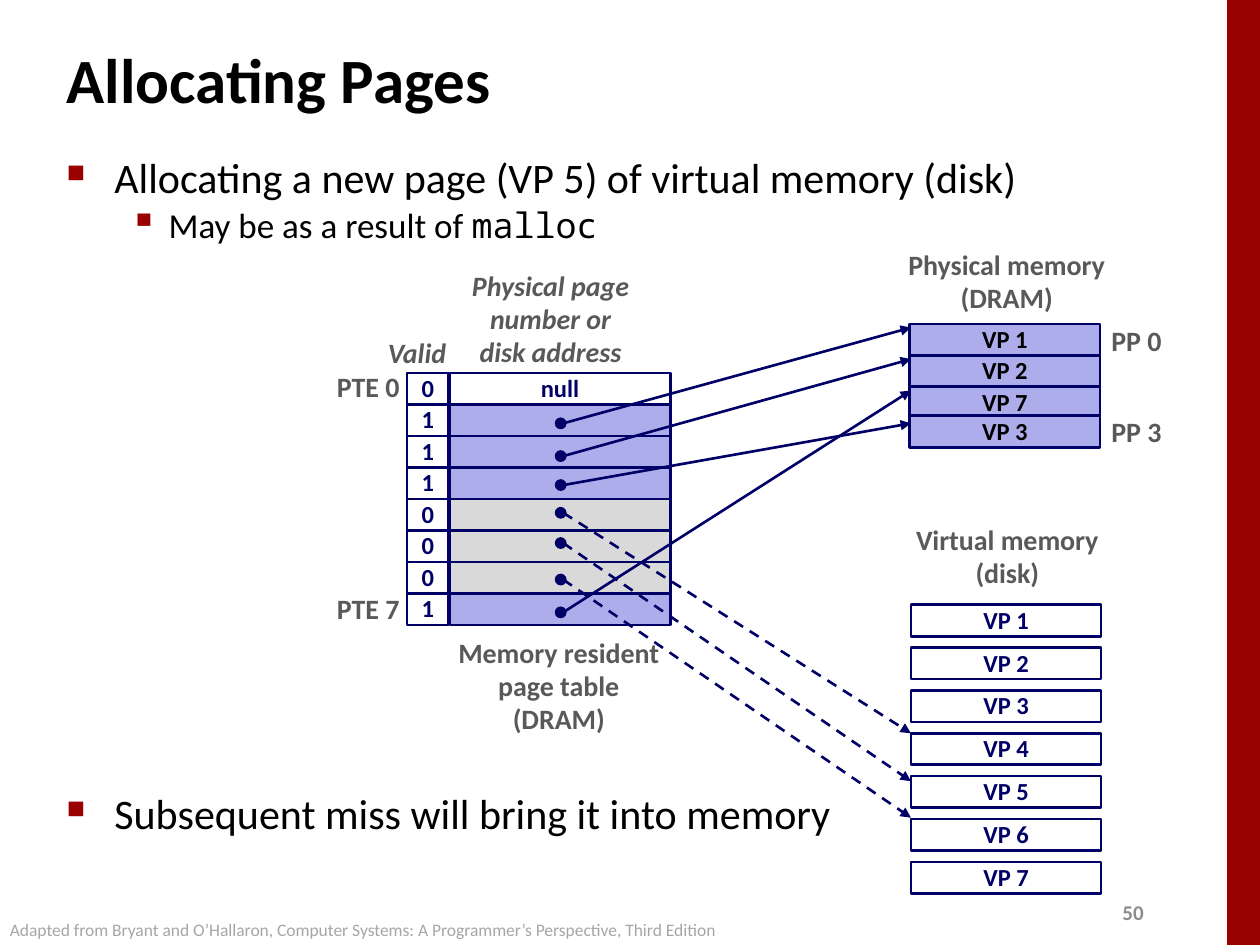
from lxml import etree
from pptx import Presentation
from pptx.dml.color import RGBColor
from pptx.enum.dml import MSO_LINE
from pptx.enum.shapes import MSO_CONNECTOR, MSO_SHAPE
from pptx.enum.text import MSO_ANCHOR, PP_ALIGN
from pptx.oxml.ns import qn
from pptx.util import Inches, Pt

LEFT, MID, RIGHT = PP_ALIGN.LEFT, PP_ALIGN.CENTER, PP_ALIGN.RIGHT
TOP, CENTER = MSO_ANCHOR.TOP, MSO_ANCHOR.MIDDLE
RECT, DOT = MSO_SHAPE.RECTANGLE, MSO_SHAPE.OVAL
STRAIGHT, DASH = MSO_CONNECTOR.STRAIGHT, MSO_LINE.DASH
FONT, MONO = "Calibri", "Noto Sans Mono"
COLORS = {
    "black": "000000", "white": "FFFFFF", "red": "990000", "navy": "000066",
    "blue": "ADADEB", "gray": "D9D9D9", "label": "595959", "number": "8C8C8C",
    "credit": "A6A6A6",
}


def color(name):
    return RGBColor.from_string(COLORS[name])


def add_run(para, text, size, tint, bold=False, italic=False, face=FONT):
    run = para.add_run()
    run.text = text
    font = run.font
    font.name, font.size, font.bold, font.italic = face, Pt(size), bold, italic
    font.color.rgb = color(tint)


def add_label(slide, box, lines, size=16, tint="label", align=MID,
              anchor=TOP, bold=True, italic=False):
    frame = slide.shapes.add_textbox(*map(Inches, box)).text_frame
    frame.word_wrap = align == LEFT
    frame.vertical_anchor = anchor
    for num, line in enumerate(lines):
        para = frame.add_paragraph() if num else frame.paragraphs[0]
        para.alignment, para.line_spacing = align, 0.98
        add_run(para, line, size, tint, bold, italic)


def add_cell(slide, box, fill, text="", tint="navy", kind=RECT, edge=1.5):
    cell = slide.shapes.add_shape(kind, *map(Inches, box))
    cell.shadow.inherit = False
    cell.fill.solid()
    cell.fill.fore_color.rgb = color(fill)
    cell.line.color.rgb = color("navy")
    cell.line.width = Pt(edge)
    if text:
        frame = cell.text_frame
        frame.word_wrap, frame.vertical_anchor = False, CENTER
        para = frame.paragraphs[0]
        para.alignment, para.line_spacing = MID, 0.98
        add_run(para, text, 14, tint, bold=True)


def add_arrow(slide, start, end, dashed):
    arrow = slide.shapes.add_connector(STRAIGHT, *map(Inches, start + end))
    arrow.line.color.rgb = color("navy")
    arrow.line.width = Pt(1.5)
    if dashed:
        arrow.line.dash_style = DASH
    tail = etree.SubElement(arrow.line._get_or_add_ln(), qn("a:tailEnd"))
    tail.set("type", "triangle")
    etree.SubElement(arrow._element.spPr, qn("a:effectLst"))


def set_bullet(para, mark, size, margin, hang):
    props = para._p.get_or_add_pPr()
    props.set("marL", str(Inches(margin)))
    props.set("indent", str(Inches(-hang)))
    tint = etree.SubElement(props, qn("a:buClr"))
    etree.SubElement(tint, qn("a:srgbClr")).set("val", COLORS["red"])
    etree.SubElement(props, qn("a:buSzPct")).set("val", str(size * 1000))
    etree.SubElement(props, qn("a:buChar")).set("char", mark)


def add_points(slide, box, text, detail=None):
    """A main bullet, with an optional sub-bullet that ends in code."""
    frame = slide.shapes.add_textbox(*map(Inches, box)).text_frame
    frame.word_wrap = True
    para = frame.paragraphs[0]
    set_bullet(para, "■", 60, 0.38, 0.38)
    add_run(para, text, 24, "black")
    if detail:
        words, code = detail
        para = frame.add_paragraph()
        para.level, para.space_before = 1, Pt(1)
        set_bullet(para, "▪", 110, 0.81, 0.31)
        add_run(para, words, 20, "black")
        add_run(para, code, 20, "black", face=MONO)


def add_frame(slide, title):
    """Title, side band, page number and credit."""
    head = slide.shapes.title
    head.left, head.top, head.width, head.height = map(
        Inches, (0.43, 0.21, 8.3, 0.83))
    head.text_frame.vertical_anchor = CENTER
    para = head.text_frame.paragraphs[0]
    para.alignment = LEFT
    add_run(para, title, 36, "black", bold=True)

    band = slide.shapes.add_shape(
        RECT, *map(Inches, (9.74, 0, 0.26, 7.5)))
    band.shadow.inherit = False
    band.fill.solid()
    band.fill.fore_color.rgb = color("red")
    band.line.fill.background()

    add_label(slide, (8.81, 7.1, 0.4, 0.3), ["50"], 12, "number", LEFT, CENTER)
    add_label(slide, (-0.02, 7.25, 5.95, 0.27),
              ["Adapted from Bryant and O’Hallaron, Computer Systems: "
               "A Programmer’s Perspective, Third Edition"],
              10, "credit", LEFT, bold=False)


def add_table(slide, x, y):
    """Page table: a valid bit and an address in each row."""
    step = 0.25
    for num, bit in enumerate("01110001"):
        row = y + num * step
        fill = "white" if num == 0 else "blue" if bit == "1" else "gray"
        add_cell(slide, (x + 0.34, row, 1.75, step), fill,
                 "null" if num == 0 else "")
        add_cell(slide, (x, row, 0.33, step), "white", bit)
    add_label(slide, (x - 0.25, y - 0.33, 0.75, 0.37), ["Valid"],
              align=LEFT, italic=True)
    add_label(slide, (x + 0.41, y - 0.87, 1.46, 0.89),
              ["Physical page", "number or", "disk address"],
              anchor=CENTER, italic=True)
    for num, shift in ((0, -0.07), (7, 1.69)):
        add_label(slide, (x - 0.66, y + shift, 0.7, 0.37), [f"PTE {num}"],
                  align=RIGHT, anchor=CENTER)
    add_label(slide, (x + 0.28, y + 2.05, 1.85, 0.89),
              ["Memory resident", "page table", "(DRAM)"])


def add_dram(slide, x, y):
    add_label(slide, (x - 0.12, y - 0.64, 1.78, 0.63),
              ["Physical memory", "(DRAM)"])
    for num, shift in ((1, 0), (2, 0.25), (7, 0.5), (3, 0.73)):
        add_cell(slide, (x, y + shift, 1.51, 0.25), "blue",
                 f"VP {num}", "black")
    for num, shift in ((0, -0.04), (3, 0.68)):
        add_label(slide, (x + 1.5, y + shift, 0.6, 0.37), [f"PP {num}"],
                  anchor=CENTER)


def add_disk(slide, x, y):
    add_label(slide, (x - 0.08, y - 0.69, 1.69, 0.63),
              ["Virtual memory", "(disk)"])
    for num in range(7):
        add_cell(slide, (x, y + num * 0.34, 1.51, 0.25), "white",
                 f"VP {num + 1}")


def add_links(slide, x, end):
    """Arrows from the page table: solid to DRAM, dashed to disk."""
    links = ((3.36, 2.6, False), (3.62, 2.85, False), (3.85, 3.36, False),
             (4.07, 5.82, True), (4.31, 6.2, True), (4.6, 6.49, True),
             (4.86, 3.1, False))
    for row, goal, dashed in links:
        add_arrow(slide, (x + 0.02, row), (end, goal), dashed)
        add_cell(slide, (x - 0.04, row - 0.04, 0.08, 0.08), "navy",
                 kind=DOT, edge=1)


def main():
    deck = Presentation()
    deck.slide_width, deck.slide_height = Inches(10), Inches(7.5)
    slide = deck.slides.add_slide(deck.slide_layouts[5])
    add_frame(slide, "Allocating Pages")
    add_points(slide, (0.43, 1.15, 8.64, 0.9),
               "Allocating a new page (VP 5) of virtual memory (disk)",
               ("May be as a result of ", "malloc"))
    add_points(slide, (0.43, 6.2, 6.7, 0.5),
               "Subsequent miss will bring it into memory")
    add_table(slide, 3.23, 2.96)
    add_dram(slide, 7.22, 2.57)
    add_disk(slide, 7.23, 4.8)
    add_links(slide, 4.45, 7.23)
    deck.save("out.pptx")


if __name__ == "__main__":
    main()
